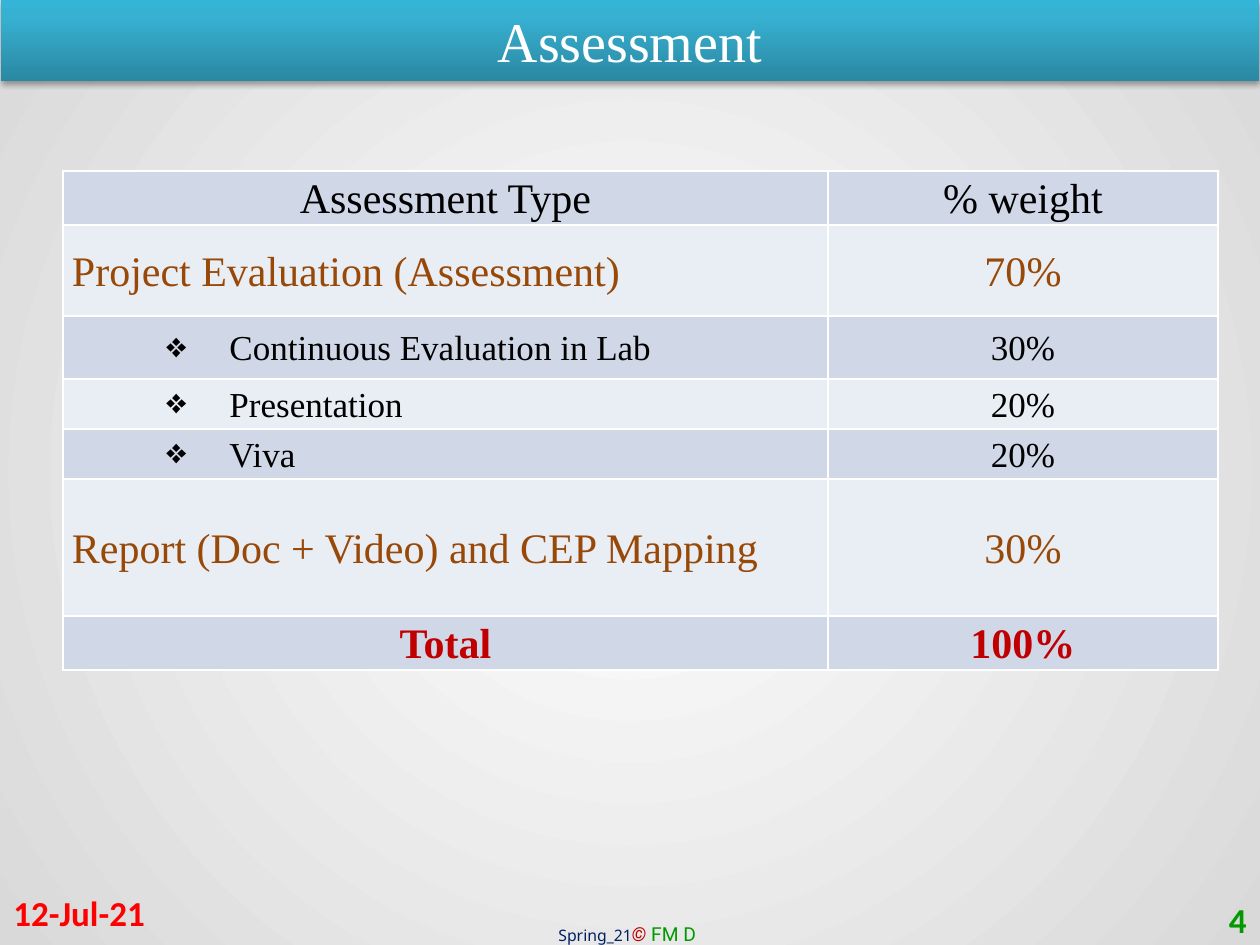
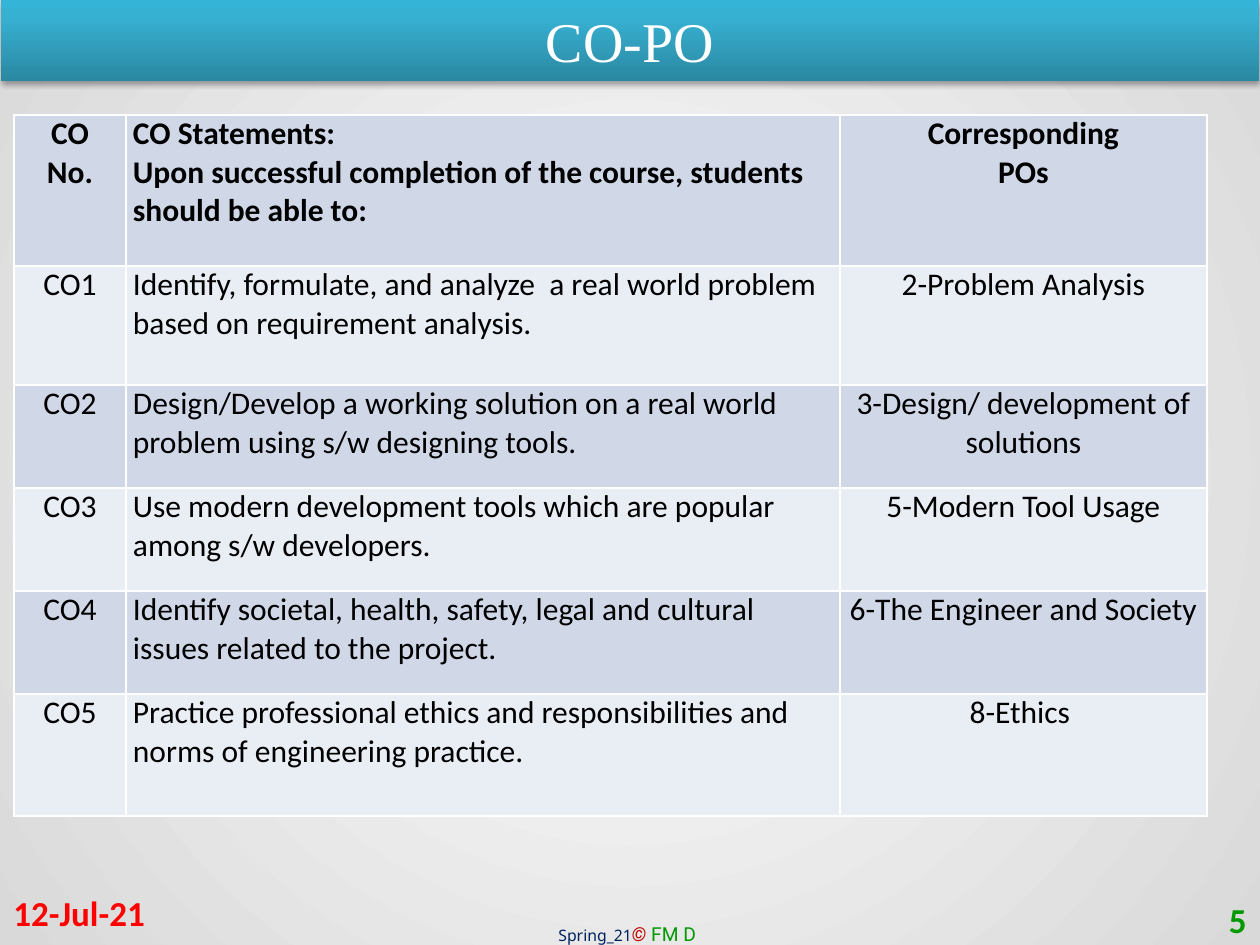
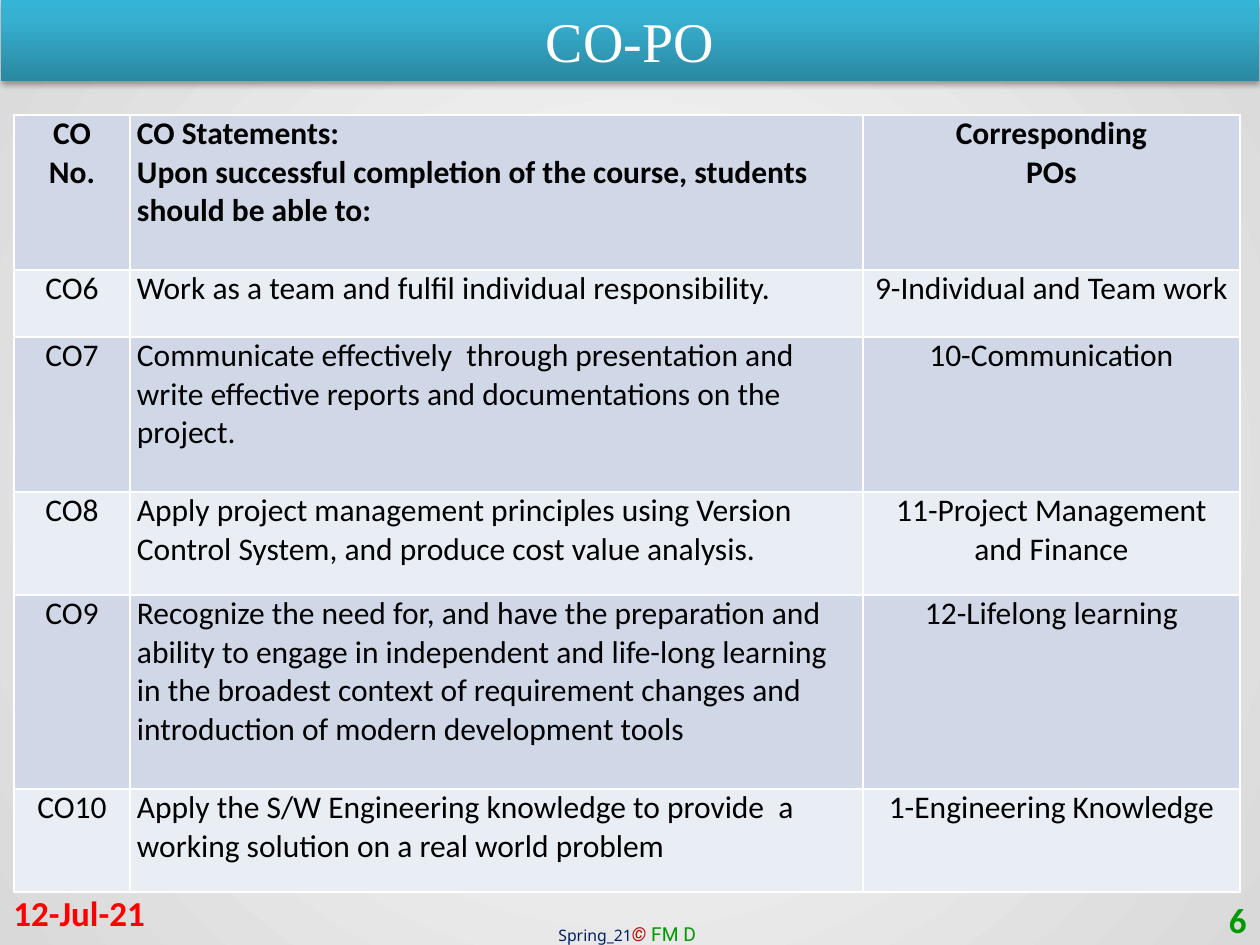
from copy import deepcopy

from lxml.etree import SubElement
from pptx import Presentation
from pptx.dml.color import RGBColor
from pptx.enum.shapes import MSO_SHAPE
from pptx.enum.text import MSO_ANCHOR, MSO_AUTO_SIZE, PP_ALIGN
from pptx.oxml import parse_xml
from pptx.oxml.ns import nsdecls, qn
from pptx.util import Pt

PX = 914400 / 126
LEFT, CENTER, RIGHT = PP_ALIGN.LEFT, PP_ALIGN.CENTER, PP_ALIGN.RIGHT

COLORS = {
    "white": "FFFFFF", "black": "000000", "edge": "D9D9D9",
    "band_low": "2A88A2", "band_mid": "37B1D2", "band_top": "34B4D6",
    "row_dark": "D0D8E8", "row_light": "E9EDF4",
    "brown": "984807", "crimson": "C00000", "red": "FF0000",
    "green": "009900", "navy": "002060",
}
SERIF, SANS = "Times New Roman", "Calibri"
FORMATS = {
    "title": {"name": SERIF, "size": Pt(32), "color": "white"},
    "date": {"name": SANS, "size": Pt(20), "bold": True, "color": "red"},
    "number": {"name": SANS, "size": Pt(20), "bold": True, "color": "green"},
    "term": {"name": "Noto Sans", "size": Pt(9), "color": "navy"},
    "sign": {"name": "Roboto", "size": Pt(11), "italic": True, "color": "crimson"},
    "author": {"name": "Roboto", "size": Pt(11), "color": "green"},
    "heading": {"name": SERIF, "size": Pt(24), "color": "black"},
    "part": {"name": SERIF, "size": Pt(24), "color": "brown"},
    "item": {"name": SERIF, "size": Pt(20), "color": "black"},
    "total": {"name": SERIF, "size": Pt(24), "bold": True, "color": "crimson"},
    "co_head": {"name": SANS, "size": Pt(18), "bold": True, "color": "black"},
    "co": {"name": SANS, "size": Pt(18), "color": "black"},
}
ALIGNS = {
    "heading": [CENTER, CENTER], "part": [LEFT, CENTER],
    "item": [LEFT, CENTER], "total": [CENTER, CENTER],
    "co_head": [CENTER, LEFT, CENTER], "co": [CENTER, LEFT, CENTER],
}
CO_HEADER = [
    "CO\nNo.",
    "CO Statements:\nUpon successful completion of the course, students should be able to:",
    "Corresponding\nPOs",
]
ASSESSMENT = {
    "origin": (63, 171), "columns": [765, 390], "inset": 9,
    "anchor": MSO_ANCHOR.MIDDLE, "spacing": 1.07,
    "rows": [
        (50, "heading", ["Assessment Type", "% weight"]),
        (91, "part", ["Project Evaluation (Assessment)", "70%"]),
        (63, "item", ["Continuous Evaluation in Lab", "30%"]),
        (50, "item", ["Presentation", "20%"]),
        (50, "item", ["Viva", "20%"]),
        (137, "part", ["Report (Doc + Video) and CEP Mapping", "30%"]),
        (50, "total", ["Total", "100%"]),
    ],
}
OUTCOMES = {"origin": (14, 115), "inset": 7, "anchor": MSO_ANCHOR.TOP, "spacing": 1.0}
FIRST_OUTCOMES = {
    **OUTCOMES, "columns": [112, 714, 367],
    "rows": [
        (151, "co_head", CO_HEADER),
        (119, "co", ["CO1", "Identify, formulate, and analyze  a real world problem based on requirement analysis.", "2-Problem Analysis"]),
        (103, "co", ["CO2", "Design/Develop a working solution on a real world problem using s/w designing tools.", "3-Design/ development of solutions"]),
        (103, "co", ["CO3", "Use modern development tools which are popular among s/w developers.", "5-Modern Tool Usage"]),
        (103, "co", ["CO4", "Identify societal, health, safety, legal and cultural issues related to the project.", "6-The Engineer and Society"]),
        (122, "co", ["CO5", "Practice professional ethics and responsibilities and norms of engineering practice.", "8-Ethics "]),
    ],
}
LAST_OUTCOMES = {
    **OUTCOMES, "columns": [116, 733, 377],
    "rows": [
        (155, "co_head", CO_HEADER),
        (67, "co", ["CO6", "Work as a team and fulfil individual responsibility.", "9-Individual and Team work"]),
        (155, "co", ["CO7", "Communicate effectively  through presentation and write effective reports and documentations on the project.", "10-Communication"]),
        (103, "co", ["CO8", "Apply project management principles using Version Control System, and produce cost value analysis.", "11-Project Management and Finance"]),
        (194, "co", ["CO9", "Recognize the need for, and have the preparation and ability to engage in independent and life-long learning in the broadest context of requirement changes and introduction of modern development tools", "12-Lifelong learning"]),
        (103, "co", ["CO10", "Apply the S/W Engineering knowledge to provide  a working solution on a real world problem", "1-Engineering Knowledge"]),
    ],
}
SLIDES = [
    ("Assessment", ASSESSMENT),
    ("CO-PO", FIRST_OUTCOMES),
    ("CO-PO", LAST_OUTCOMES),
]


def emu(*pixels):
    return [round(value * PX) for value in pixels]


def write(paragraph, text, style):
    run = paragraph.add_run()
    run.text = text
    for key, value in FORMATS[style].items():
        if key == "color":
            run.font.color.rgb = RGBColor.from_string(COLORS[value])
        else:
            setattr(run.font, key, value)


prs = Presentation()
prs.slide_width, prs.slide_height = emu(1260, 945)

backdrop = prs.slide_master.background.fill
backdrop.gradient()
for stop, position, color in zip(backdrop.gradient_stops, (0, 1), ("white", "edge")):
    stop.position = position
    stop.color.rgb = RGBColor.from_string(COLORS[color])
direction = prs.slide_master.element.find(".//" + qn("a:lin"))
direction.getparent().replace(direction, parse_xml(
    f'<a:path {nsdecls("a")} path="circle">'
    '<a:fillToRect l="50000" t="50000" r="50000" b="50000"/></a:path>'))

for number, (title, content) in enumerate(SLIDES, start=4):
    slide = prs.slides.add_slide(prs.slide_layouts[6])

    credit = slide.shapes.add_textbox(*emu(546, 916, 171, 37)).text_frame
    credit.word_wrap = False
    credit.auto_size = MSO_AUTO_SIZE.SHAPE_TO_FIT_TEXT
    for text, style in (("Spring_21", "term"), ("© ", "sign"), ("FM D", "author")):
        write(credit.paragraphs[0], text, style)

    band = slide.shapes.add_shape(MSO_SHAPE.RECTANGLE, *emu(1, 0, 1258, 81))
    band.line.fill.background()
    band.fill.gradient()
    band.fill.gradient_angle = 90
    stops = band.element.spPr.find(".//" + qn("a:gsLst"))
    stops.append(deepcopy(stops[-1]))
    for stop, position, color in zip(
            band.fill.gradient_stops, (0, 0.8, 1), ("band_low", "band_mid", "band_top")):
        stop.position = position
        stop.color.rgb = RGBColor.from_string(COLORS[color])
    band.shadow.inherit = False
    band.element.spPr.find(qn("a:effectLst")).append(parse_xml(
        f'<a:outerShdw {nsdecls("a")} blurRad="40000" dist="23000" dir="5400000" rotWithShape="0">'
        f'<a:srgbClr val="{COLORS["black"]}"><a:alpha val="35000"/></a:srgbClr></a:outerShdw>'))
    band.text_frame.word_wrap = True
    band.text_frame.vertical_anchor = MSO_ANCHOR.TOP
    band.text_frame.paragraphs[0].alignment = CENTER
    write(band.text_frame.paragraphs[0], title, "title")

    for text, style, left, top, align in (
            ("12-Jul-21", "date", 1, 888, LEFT), (str(number), "number", 965, 895, RIGHT)):
        footer = slide.shapes.add_textbox(*emu(left, top, 294, 50)).text_frame
        footer.word_wrap = True
        footer.vertical_anchor = MSO_ANCHOR.MIDDLE
        footer.paragraphs[0].alignment = align
        write(footer.paragraphs[0], text, style)

    columns, rows = content["columns"], content["rows"]
    size = sum(columns), sum(height for height, _, _ in rows)
    table = slide.shapes.add_table(
        len(rows), len(columns), *emu(*content["origin"], *size)).table
    table.first_row = table.horz_banding = False
    for column, width in zip(table.columns, emu(*columns)):
        column.width = width
    for index, (height, style, texts) in enumerate(rows):
        table.rows[index].height = emu(height)[0]
        shade = COLORS["row_light" if index % 2 else "row_dark"]
        for cell, text, align in zip(table.rows[index].cells, texts, ALIGNS[style]):
            cell.margin_left = cell.margin_right = emu(content["inset"])[0]
            cell.margin_top = cell.margin_bottom = 0
            cell.vertical_anchor = content["anchor"]
            for side in ("lnL", "lnR", "lnT", "lnB"):
                border = SubElement(cell._tc.get_or_add_tcPr(), qn(f"a:{side}"), w="12700")
                paint = SubElement(border, qn("a:solidFill"))
                SubElement(paint, qn("a:srgbClr"), val=COLORS["white"])
            cell.fill.solid()
            cell.fill.fore_color.rgb = RGBColor.from_string(shade)
            for position, line in enumerate(text.split("\n")):
                frame = cell.text_frame
                paragraph = frame.add_paragraph() if position else frame.paragraphs[0]
                if style == "item" and align == LEFT:
                    properties = paragraph._p.get_or_add_pPr()
                    properties.set("marL", "1143000")
                    properties.set("indent", "-457200")
                    SubElement(properties, qn("a:buChar"), char="❖")
                paragraph.alignment = align
                paragraph.line_spacing = content["spacing"]
                write(paragraph, line, style)

prs.save("out.pptx")
